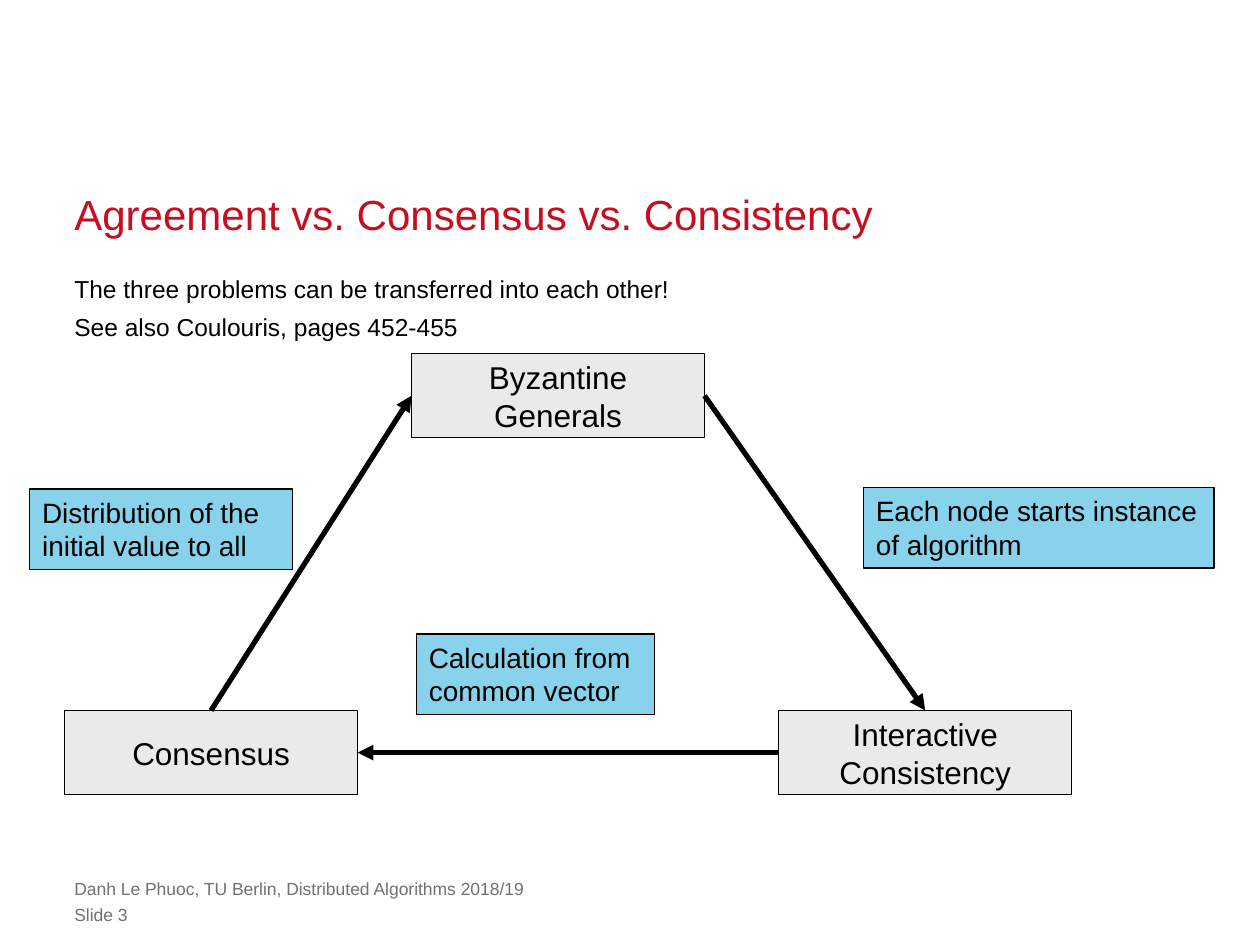
from lxml.etree import SubElement
from pptx import Presentation
from pptx.dml.color import RGBColor
from pptx.enum.shapes import MSO_CONNECTOR, MSO_SHAPE
from pptx.enum.text import MSO_ANCHOR as Anchor, MSO_AUTO_SIZE as AutoSize, PP_ALIGN as Align
from pptx.oxml.ns import qn
from pptx.util import Pt


def color(value):
    return RGBColor.from_string(value)


def write(shape, text, size, ink="000000", align=Align.LEFT, spacing=None):
    shape.text_frame.text = text
    for para in shape.text_frame.paragraphs:
        para.alignment = align
        if spacing:
            para.line_spacing = Pt(spacing)
        for span in para.runs:
            span.font.name = "Arial"
            span.font.size = Pt(size)
            span.font.color.rgb = color(ink)


deck = Presentation()
deck.slide_width, deck.slide_height = Pt(720), Pt(540)
page = deck.slides.add_slide(deck.slide_layouts[6])

# Title, introduction and footer share one left margin
texts = [
    ("Agreement vs. Consensus vs. Consistency", 106.5, 30.2, 24, "C50E1F", 30, Anchor.BOTTOM),
    ("The three problems can be transferred into each other!\n"
     "See also Coulouris, pages 452-455", 151.2, 320.4, 14, "000000", 22, Anchor.TOP),
    ("Danh Le Phuoc, TU Berlin, Distributed Algorithms 2018/19",
     501.8, 12.2, 10, "717171", None, Anchor.TOP),
    ("Slide 3", 516.4, 12.2, 10, "717171", None, Anchor.TOP),
]
for text, top, height, size, ink, spacing, anchor in texts:
    box = page.shapes.add_textbox(Pt(42.5), Pt(top), Pt(635), Pt(height))
    frame = box.text_frame
    frame.margin_left = frame.margin_right = frame.margin_top = frame.margin_bottom = 0
    frame.word_wrap = True
    frame.vertical_anchor = anchor
    write(box, text, size, ink, spacing=spacing)

# Problems (grey, centred) and the transfers between them (blue, left-aligned)
grey, blue = "EAEAEA", "89D2EC"
boxes = [
    ("Distribution of the\ninitial value to all", 17, 279.4, 150, 46, blue),
    ("Calculation from\ncommon vector", 238, 362.2, 136, 46, blue),
    ("Each node starts instance\nof algorithm", 493.4, 278.6, 200.4, 46, blue),
    ("Byzantine\vGenerals", 235.2, 202, 167.4, 48.2, grey),
    ("Consensus", 36.9, 406, 167.4, 48.2, grey),
    ("Interactive\nConsistency", 445, 406, 167.4, 48.2, grey),
]
drawn = []
for text, left, top, width, height, fill in boxes:
    box = page.shapes.add_shape(MSO_SHAPE.RECTANGLE, Pt(left), Pt(top), Pt(width), Pt(height))
    box.shadow.inherit = False
    box.fill.solid()
    box.fill.fore_color.rgb = color(fill)
    box.line.color.rgb = color("000000")
    box.line.width = Pt(0.75)
    box.text_frame.word_wrap = False
    if fill == grey:
        box.text_frame.vertical_anchor = Anchor.MIDDLE
        write(box, text, 18, align=Align.CENTER)
    else:
        box.text_frame.vertical_anchor = Anchor.TOP
        box.text_frame.auto_size = AutoSize.SHAPE_TO_FIT_TEXT
        write(box, text, 16)
    drawn.append(box)
generals, consensus, consistency = drawn[3:]

# Arrows around the triangle, glued to the sides of the problem boxes
top_side, left_side, right_side = 0, 1, 3
arrows = [
    (consensus, top_side, generals, left_side),
    (generals, right_side, consistency, top_side),
    (consistency, left_side, consensus, right_side),
]
for source, source_side, target, target_side in arrows:
    arrow = page.shapes.add_connector(MSO_CONNECTOR.STRAIGHT, 0, 0, 0, 0)
    arrow.begin_connect(source, source_side)
    arrow.end_connect(target, target_side)
    arrow.line.color.rgb = color("000000")
    arrow.line.width = Pt(3)
    SubElement(arrow.line._get_or_add_ln(), qn("a:tailEnd"), type="triangle")
    SubElement(arrow._element.spPr, qn("a:effectLst"))

deck.save("out.pptx")
